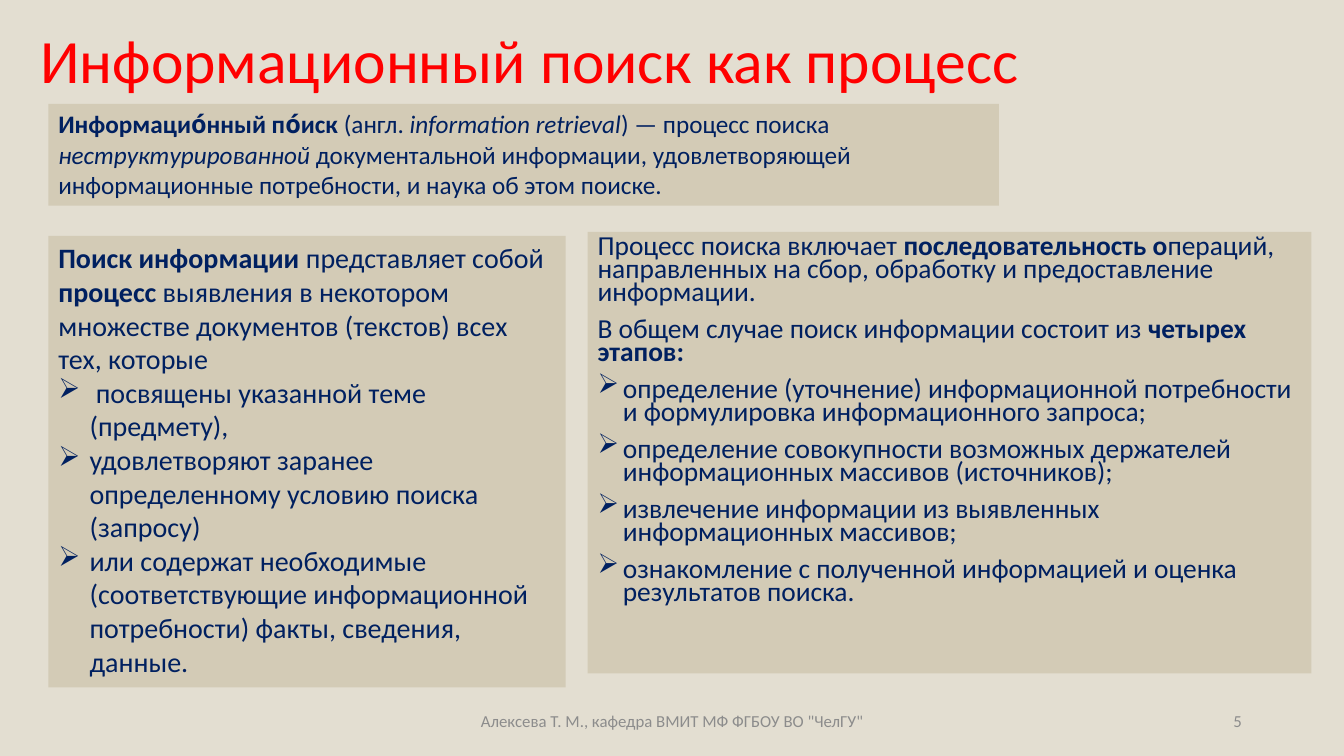
"""Build the slide on information retrieval as a process."""
from lxml import etree
from pptx import Presentation, util as u
from pptx.dml.color import RGBColor
from pptx.enum import shapes, text
from pptx.oxml.ns import qn

COLORS = {
    "background": "E3DED1",
    "panel": "D3CBB6",
    "title": "FF0000",
    "body": "002060",
    "footer": "8C8C8C",
}
WIDTH, HEIGHT = u.Inches(13.33), u.Inches(7.5)
FONT = "Calibri"
BULLET = "➢"

DEFINITION = [
    [("Информацио́нный по́иск", "b"), (" (англ. ", ""), ("information retrieval", "i"),
     (") — процесс поиска ", ""), ("неструктурированной", "i"),
     (" документальной информации, удовлетворяющей информационные потребности, "
      "и наука об этом поиске.", "")],
]
SEARCH_INTRO = [
    [("Поиск информации ", "b"), ("представляет собой ", ""), ("процесс", "b"),
     (" выявления в некотором множестве документов (текстов) всех тех, которые", "")],
]
SEARCH_CRITERIA = [
    " посвящены указанной теме (предмету),",
    "удовлетворяют заранее определенному условию поиска (запросу)",
    "или содержат необходимые (соответствующие информационной потребности) "
    "факты, сведения, данные.",
]
PROCESS_INTRO = [
    [("Процесс поиска включает ", ""), ("последовательность о", "b"),
     ("пераций, направленных на сбор, обработку и предоставление информации.", "")],
    [("В общем случае поиск информации состоит из ", ""), ("четырех этапов:", "b")],
]
PROCESS_STAGES = [
    "определение (уточнение) информационной потребности и формулировка "
    "информационного запроса;",
    "определение совокупности возможных держателей информационных массивов (источников);",
    "извлечение информации из выявленных информационных массивов;",
    "ознакомление с полученной информацией и оценка результатов поиска.",
]


def place(left, top, width, height):
    """Turn percentages of the slide's size into lengths."""
    return (int(WIDTH * left / 100), int(HEIGHT * top / 100),
            int(WIDTH * width / 100), int(HEIGHT * height / 100))


def add_bullet(para, indent):
    """Give a paragraph a hanging arrow bullet."""
    props = para._p.get_or_add_pPr()
    props.set("marL", str(u.Inches(indent)))
    props.set("indent", str(-u.Inches(indent)))
    etree.SubElement(props, qn("a:buChar")).set("char", BULLET)


def write(box, paragraphs, *, size, color, bullets=(), indent=0, spacing=None, gap=0,
          align=text.PP_ALIGN.LEFT, anchor=text.MSO_ANCHOR.TOP):
    """Fill a box with plain paragraphs followed by bulleted ones."""
    frame = box.text_frame
    frame.word_wrap = True
    frame.vertical_anchor = anchor
    rows = [(spans, False) for spans in paragraphs]
    rows += [([(line, "")], True) for line in bullets]
    for index, (spans, bulleted) in enumerate(rows):
        para = frame.add_paragraph() if index else frame.paragraphs[0]
        para.alignment = align
        if spacing:
            para.line_spacing = spacing
        if index and gap:
            para.space_before = u.Pt(gap)
        if bulleted:
            add_bullet(para, indent)
        for words, style in spans:
            span = para.add_run()
            span.text = words
            span.font.name = FONT
            span.font.size = u.Pt(size)
            span.font.bold = "b" in style
            span.font.italic = "i" in style
            span.font.color.rgb = RGBColor.from_string(COLORS[color])


def add_label(page, area, words, **style):
    """Add one line of text without a fill."""
    box = page.shapes.add_textbox(*place(*area))
    write(box, [[(words, "")]], anchor=text.MSO_ANCHOR.MIDDLE, **style)


def add_panel(page, area, paragraphs, **style):
    """Add a filled rectangle with body text."""
    box = page.shapes.add_shape(shapes.MSO_SHAPE.RECTANGLE, *place(*area))
    box.shadow.inherit = False
    box.fill.solid()
    box.fill.fore_color.rgb = RGBColor.from_string(COLORS["panel"])
    box.line.fill.background()
    write(box, paragraphs, color="body", **style)


def main():
    """Compose and save the deck."""
    deck = Presentation()
    deck.slide_width, deck.slide_height = WIDTH, HEIGHT
    page = deck.slides.add_slide(deck.slide_layouts[6])
    page.background.fill.solid()
    page.background.fill.fore_color.rgb = RGBColor.from_string(COLORS["background"])

    add_label(page, (2.25, 3.2, 86.25, 10.4), "Информационный поиск как процесс",
              size=44, color="title", spacing=0.9)
    add_panel(page, (43.73, 30.67, 53.85, 58.4), PROCESS_INTRO, size=19.6,
              bullets=PROCESS_STAGES, indent=0.25, spacing=0.7, gap=10)
    add_label(page, (33.15, 92.67, 33.75, 5.33),
              'Алексева Т. М., кафедра ВМИТ МФ ФГБОУ ВО "ЧелГУ"',
              size=12, color="footer", align=text.PP_ALIGN.CENTER)
    add_label(page, (70.65, 92.67, 22.5, 5.33), "5",
              size=12, color="footer", align=text.PP_ALIGN.RIGHT)
    add_panel(page, (3.6, 13.73, 70.73, 13.47), DEFINITION, size=18)
    add_panel(page, (3.6, 31.2, 38.48, 59.73), SEARCH_INTRO, size=20,
              bullets=SEARCH_CRITERIA, indent=0.31)
    deck.save("out.pptx")


if __name__ == "__main__":
    main()
